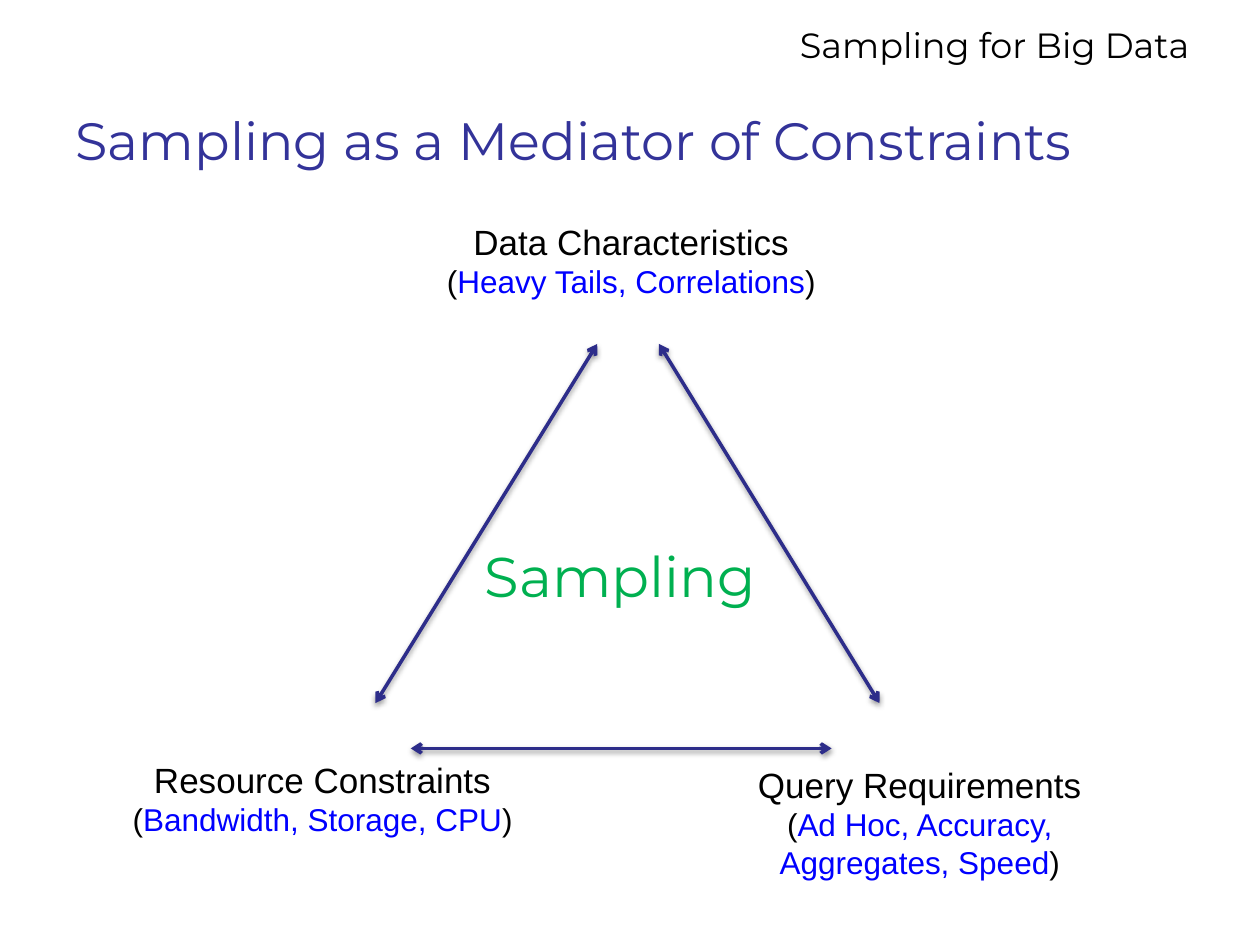
from dataclasses import dataclass

from lxml.etree import SubElement
from pptx import Presentation
from pptx.dml.color import RGBColor
from pptx.enum.shapes import MSO_CONNECTOR as Connector
from pptx.enum.text import MSO_ANCHOR as Anchor, PP_ALIGN as Align
from pptx.oxml.ns import qn
from pptx.util import Inches, Pt


@dataclass(frozen=True)
class Theme:
    heading_font: str = "Montserrat"
    body_font: str = "Arial"
    black: str = "000000"
    title: str = "333399"
    detail: str = "0000FF"
    center: str = "00B050"
    arrow: str = "2D2D8A"
    title_size: int = 30
    center_size: int = 32
    label_size: int = 20
    detail_size: int = 18


theme = Theme()


def add_run(paragraph, text, *, size, color=theme.black, font=theme.body_font,
            align=Align.LEFT):
    paragraph.alignment = align
    run = paragraph.add_run()
    run.text = text
    run.font.name = font
    run.font.size = Pt(size)
    run.font.bold = False
    run.font.color.rgb = RGBColor.from_string(color)


def add_arrow(slide, start, end):
    """Draw a double-headed arrow with a soft shadow below it."""
    arrow = slide.shapes.add_connector(
        Connector.STRAIGHT, *(Inches(value) for value in (*start, *end)))
    arrow.line.color.rgb = RGBColor.from_string(theme.arrow)
    arrow.line.width = Pt(2)
    line = arrow.line._get_or_add_ln()
    for tag in ("a:headEnd", "a:tailEnd"):
        SubElement(line, qn(tag), type="arrow")
    effects = SubElement(arrow._element.spPr, qn("a:effectLst"))
    shadow = SubElement(effects, qn("a:outerShdw"), blurRad=str(Pt(3.1)),
                        dist=str(Pt(1.6)), dir="5400000", rotWithShape="0")
    color = SubElement(shadow, qn("a:srgbClr"), val=theme.black)
    SubElement(color, qn("a:alpha"), val="38000")


presentation = Presentation()
presentation.slide_width = Inches(10)
presentation.slide_height = Inches(7.5)
slide = presentation.slides.add_slide(presentation.slide_layouts[5])

# Title
title = slide.shapes.title
title.left, title.top = Inches(0.5), Inches(0.67)
title.width, title.height = Inches(9), Inches(0.88)
title.text_frame.vertical_anchor = Anchor.MIDDLE
add_run(title.text_frame.paragraphs[0], "Sampling as a Mediator of Constraints",
        size=theme.title_size, color=theme.title, font=theme.heading_font)

# Deck name at the top right and the word inside the triangle
for text, left, top, width, height, size, color, align in (
    ("Sampling for Big Data", 6.01, 0.14, 3.53, 0.77,
     theme.label_size, theme.black, Align.RIGHT),
    ("Sampling", 3.75, 4.25, 2.47, 0.64,
     theme.center_size, theme.center, Align.LEFT),
):
    box = slide.shapes.add_textbox(Inches(left), Inches(top),
                                   Inches(width), Inches(height))
    box.text_frame.word_wrap = False
    add_run(box.text_frame.paragraphs[0], text, size=size, color=color,
            font=theme.heading_font, align=align)

# Constraints at the three corners
for label, detail, left, top, height in (
    ("Data Characteristics", "Heavy Tails, Correlations", 3.37, 1.7, 1.04),
    ("Query Requirements", "Ad Hoc, Accuracy, Aggregates, Speed", 5.66, 6.01, 1.35),
    ("Resource Constraints", "Bandwidth, Storage, CPU", 0.92, 5.97, 1.04),
):
    box = slide.shapes.add_textbox(Inches(left), Inches(top),
                                   Inches(3.28), Inches(height))
    frame = box.text_frame
    frame.word_wrap = True
    add_run(frame.paragraphs[0], label, size=theme.label_size, align=Align.CENTER)
    paragraph = frame.add_paragraph()
    for text, color in (("(", theme.black), (detail, theme.detail), (")", theme.black)):
        add_run(paragraph, text, size=theme.detail_size, color=color,
                align=Align.CENTER)

# Sides of the triangle
for start, end in (
    ((3.26, 5.94), (6.6, 5.94)),
    ((5.23, 2.73), (6.98, 5.58)),
    ((4.74, 2.73), (2.98, 5.58)),
):
    add_arrow(slide, start, end)

presentation.save("out.pptx")
